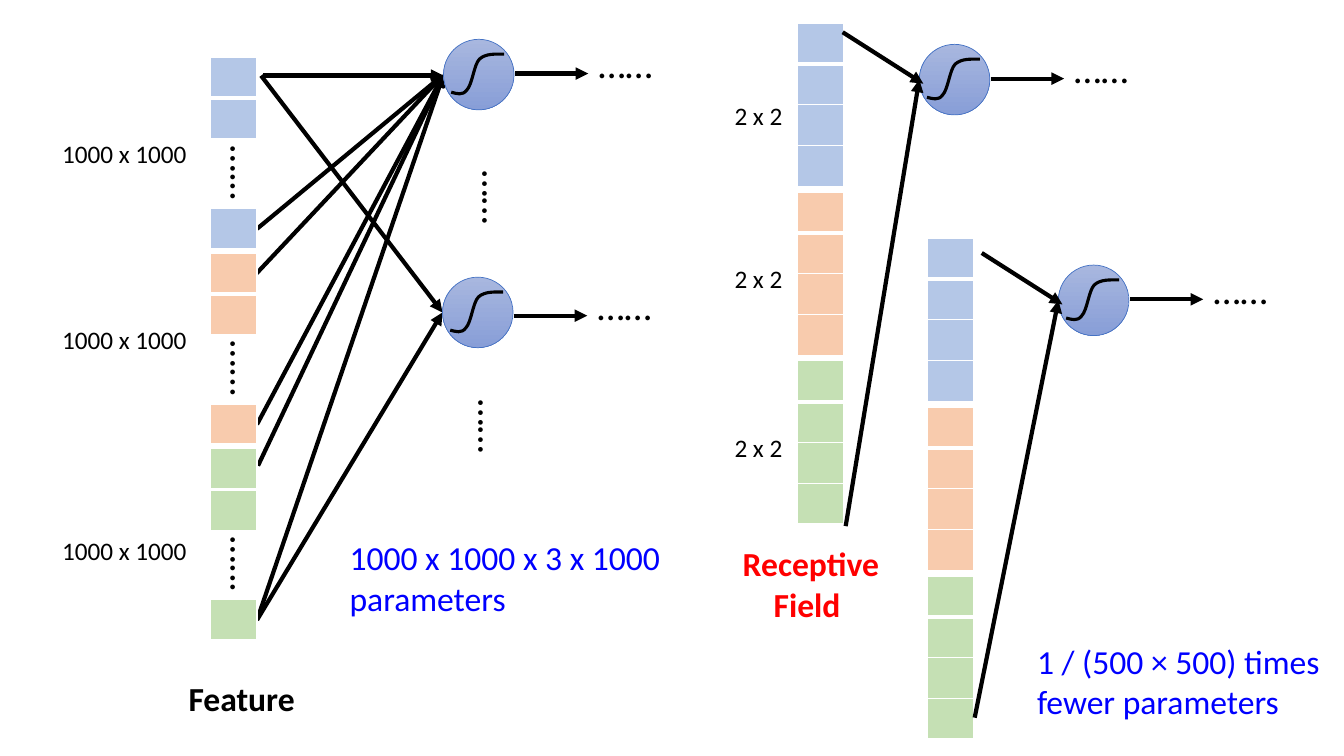
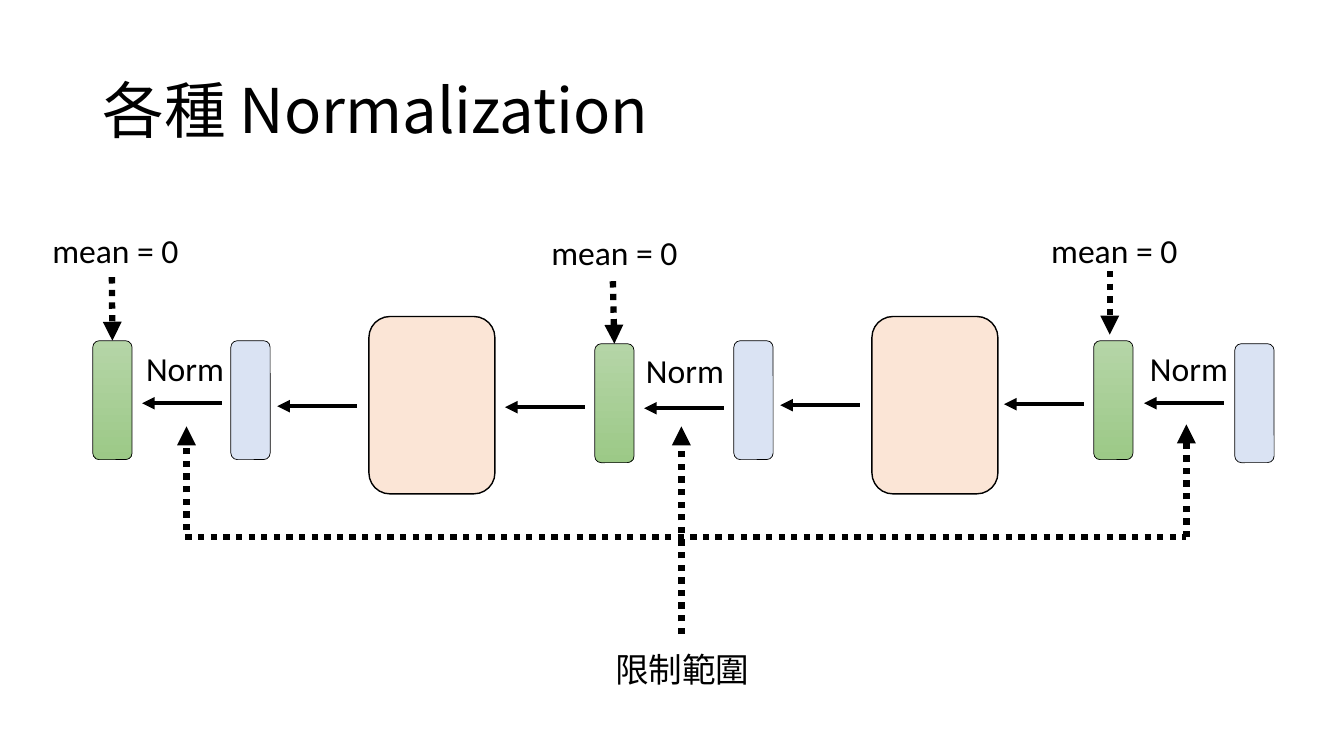
import dataclasses
import typing

import pptx
import pptx.dml.color
import pptx.enum.dml
import pptx.enum.shapes
import pptx.enum.text
import pptx.oxml.ns
import pptx.util
from lxml import etree

# Slide grid: 80 columns by 45 rows of square cells
COLUMNS, ROWS = 80, 45
CELL = pptx.util.Inches(1) // 6

SHAPES = pptx.enum.shapes.MSO_SHAPE
ALIGN = pptx.enum.text.PP_ALIGN
ANCHOR = pptx.enum.text.MSO_ANCHOR


@dataclasses.dataclass(frozen=True)
class Theme:
    ink: str = "000000"
    paper: str = "FFFFFF"
    note: str = "0000FF"
    alert: str = "FF0000"
    channels: tuple = ("B4C7E7", "F8CBAD", "C5E0B4")
    neuron: tuple = ("A8B7DF", "889ED7")
    neuron_edge: str = "4472C4"
    normalized: tuple = ("B5D5A7", "9CC987")
    vector: str = "DAE3F3"
    block: str = "FBE5D6"
    latin: str = "Calibri"
    cjk: str = "Noto Sans CJK SC"
    title_size: int = 44
    dots_size: int = 28
    body_size: int = 24
    label_size: int = 18
    arrow: float = 3
    dotted: float = 4.5


THEME = Theme()


class Stage(typing.NamedTuple):
    normalized: tuple
    vector: tuple
    norm_label: tuple
    norm_arrow: tuple
    mean_label: tuple
    mean_tip: tuple
    joined: bool = True


STAGES = (
    Stage((5.52, 20.28), (13.74, 20.28), (7.74, 20.4), (13.2, 24),
          (1.62, 13.38), (6.66, 20.28)),
    Stage((35.4, 20.46), (43.68, 20.28), (37.5, 20.52), (43.08, 24.3),
          (31.32, 13.5), (36.48, 20.52)),
    Stage((65.1, 20.28), (73.5, 20.46), (67.5, 20.4), (72.84, 24),
          (61.08, 13.38), (66.06, 19.92), False),
)


# Basic helpers
def grid(*cells):
    return [round(cell * CELL) for cell in cells]


def rgb(code):
    return pptx.dml.color.RGBColor.from_string(code)


def apply(target, formats):
    for name, value in formats.items():
        setattr(target, name, value)


def add_xml(parent, tag, **attributes):
    return etree.SubElement(parent, pptx.oxml.ns.qn(tag), attributes)


def paint(shape, fill, edge, weight):
    shape.shadow.inherit = False
    if fill is None:
        shape.fill.background()
    elif isinstance(fill, tuple):
        shape.fill.gradient()
        shape.fill.gradient_angle = 270
        for stop, code in zip(shape.fill.gradient_stops, fill):
            stop.color.rgb = rgb(code)
    else:
        shape.fill.solid()
        shape.fill.fore_color.rgb = rgb(fill)
    shape.line.color.rgb = rgb(edge)
    shape.line.width = pptx.util.Pt(weight)


# Element builders
def add_text(slide, text, box, size=THEME.body_size, align=ALIGN.CENTER,
             color=THEME.ink, font=THEME.latin, bold=False, turn=0):
    label = slide.shapes.add_textbox(*grid(*box))
    label.rotation = turn
    apply(label.text_frame, {
        "word_wrap": True,
        "auto_size": pptx.enum.text.MSO_AUTO_SIZE.SHAPE_TO_FIT_TEXT,
    })
    paragraph = label.text_frame.paragraphs[0]
    paragraph.alignment = align
    run = paragraph.add_run()
    run.text = text
    apply(run.font, {"size": pptx.util.Pt(size), "name": font, "bold": bold})
    run.font.color.rgb = rgb(color)
    add_xml(run.font._element, "a:ea", typeface=font)
    return label


def add_title(slide, text):
    title = add_text(slide, text, (5.52, 2.4, 69, 8.7), THEME.title_size,
                     ALIGN.LEFT, font=THEME.cjk)
    apply(title.text_frame, {
        "auto_size": pptx.enum.text.MSO_AUTO_SIZE.NONE,
        "vertical_anchor": ANCHOR.MIDDLE,
    })
    title.text_frame.paragraphs[0].line_spacing = 0.9


def add_line(slide, start, end, dotted=False, head=True):
    line = slide.shapes.add_connector(
        pptx.enum.shapes.MSO_CONNECTOR.STRAIGHT, *grid(*start, *end))
    line.line.color.rgb = rgb(THEME.ink)
    line.line.width = pptx.util.Pt(THEME.dotted if dotted else THEME.arrow)
    if dotted:
        line.line.dash_style = pptx.enum.dml.MSO_LINE.ROUND_DOT
    if head:
        add_xml(line.line._get_or_add_ln(), "a:tailEnd", type="triangle")
    add_xml(line._element.spPr, "a:effectLst")
    return line


def add_box(parent, box, fill, weight=0.5, edge=THEME.ink,
            outline=SHAPES.ROUNDED_RECTANGLE):
    shape = parent.shapes.add_shape(outline, *grid(*box))
    paint(shape, fill, edge, weight)
    return shape


def add_pixels(slide, left, top, count, color):
    """A one-column table with a thick rule under its first row."""
    width, height = 2.76, 2.43
    pixels = slide.shapes.add_table(
        count, 1, *grid(left, top, width, height * count)).table
    apply(pixels, {"first_row": False, "horz_banding": False})
    for row in range(count):
        cell = pixels.cell(row, 0)
        apply(cell, {"margin_top": 0, "margin_bottom": 0})
        for side in "LRTB":
            weight = 3 if side == "B" and row == 0 else 1
            border = add_xml(cell._tc.get_or_add_tcPr(), "a:ln" + side,
                             w=str(pptx.util.Pt(weight)))
            add_xml(add_xml(border, "a:solidFill"), "a:srgbClr",
                    val=THEME.paper)
        cell.fill.solid()
        cell.fill.fore_color.rgb = rgb(color)


def add_curve(parent, points):
    """Bezier chain: a start, then two controls and an end per segment."""
    builder = parent.shapes.build_freeform(*points[0])
    builder.add_line_segments(points[1:], close=False)
    curve = builder.convert_to_shape()
    legs = list(curve._element.iter(pptx.oxml.ns.qn("a:lnTo")))
    for first in range(0, len(legs), 3):
        segment = etree.Element(pptx.oxml.ns.qn("a:cubicBezTo"))
        legs[first].addprevious(segment)
        for leg in legs[first:first + 3]:
            segment.append(leg[0])
            leg.getparent().remove(leg)
    paint(curve, None, THEME.ink, 2.25)


def add_neuron(slide, left, top, drop=0):
    """Circle with a sigmoid, an output arrow and dots after it."""
    size = 4.2
    neuron = slide.shapes.add_group_shape()
    add_box(neuron, (left, top, size, size), THEME.neuron,
            edge=THEME.neuron_edge, outline=SHAPES.OVAL)
    # Control points as shares of the circle
    sigmoid = ((0.86, 0.21), (0.73, 0.21), (0.6, 0.2), (0.51, 0.28),
               (0.43, 0.36), (0.41, 0.64), (0.33, 0.72),
               (0.27, 0.8), (0.19, 0.77), (0.11, 0.75))
    add_curve(neuron, [grid(left + x * size, top + y * size)
                       for x, y in sigmoid])
    exit_row = top + 2.04 + drop
    add_line(slide, (left + 4.28, exit_row), (left + 8.62, exit_row))
    add_text(slide, "……", (left + 7.2, top - 0.3 + drop, 7.26, 3.42),
             THEME.dots_size)


def add_label(slide, text, left, top):
    add_text(slide, text, (left, top, 9.42, 2.4), THEME.label_size,
             ALIGN.RIGHT)


def add_note(slide, text, left, top, width):
    add_text(slide, text, (left, top, width, 5.46), align=ALIGN.LEFT,
             color=THEME.note)


# Slide 1, left half: every pixel feeds every neuron
def add_full_connection(slide):
    upper, lower = (26.4, 4.44), (26.34, 18.6)
    add_line(slide, (15.66, 4.5), (26.4, 4.5))
    for start in ((15.3, 13.62), (15.06, 16.5), (15.3, 25.26),
                  (15.36, 27.72), (15.3, 36.9)):
        add_line(slide, start, upper)
    for start in ((15.54, 4.5), (15.3, 36.9)):
        add_line(slide, start, lower)
    add_neuron(slide, 26.4, 2.34)
    add_neuron(slide, 26.34, 16.5, drop=0.25)
    for left, top in ((24.42, 10.02), (24.18, 23.7)):
        add_text(slide, "……", (left, top, 7.26, 3.42), THEME.dots_size,
                 turn=270)
    label_tops = (7.92, 19.02, 31.56)
    for index, (color, label_top) in enumerate(zip(THEME.channels,
                                                   label_tops)):
        top = 3.42 + 11.64 * index
        add_pixels(slide, 12.54, top, 2, color)
        add_text(slide, "…...", (12.18, top + 5.37, 4.92, 3.42),
                 THEME.dots_size, ALIGN.LEFT, turn=90)
        add_pixels(slide, 12.54, top + 9, 1, color)
        add_label(slide, "1000 x 1000", 2.28, label_top)
    add_text(slide, "Feature ", (10.2, 40.08, 8.82, 3), bold=True)
    add_note(slide, "1000 x 1000 x 3 x 1000 parameters", 20.22, 31.68, 20.64)


# Slide 1, right half: each neuron sees one small field
def add_receptive_field(slide, column, neuron, first, last):
    left, top = column
    for index, color in enumerate(THEME.channels):
        add_pixels(slide, left, top + 10.05 * index, 4, color)
    add_neuron(slide, *neuron)
    add_line(slide, first, (neuron[0] + 0.24, neuron[1] + 2.34))
    add_line(slide, last, (neuron[0], neuron[1] + 2.1))


def build_receptive_slide(slide):
    add_full_connection(slide)
    add_receptive_field(slide, (47.46, 1.38), (54.72, 2.64),
                        (50.16, 1.92), (50.34, 31.32))
    add_receptive_field(slide, (55.2, 14.18), (63, 15.78),
                        (58.44, 15.06), (58.02, 42.72))
    for top in (5.7, 15.36, 25.44):
        add_label(slide, "2 x 2", 37.74, top)
    add_text(slide, "Receptive Field ", (43.56, 32.04, 9.42, 5.46),
             color=THEME.alert, bold=True)
    add_note(slide, "1 / (500 × 500) times fewer parameters",
             61.14, 37.86, 18.6)


# Slide 2: normalization between blocks
def add_left_arrow(slide, column, row):
    add_line(slide, (column, row), (column - 4.74, row))


def add_stage(slide, stage):
    size = (2.34, 7.08)
    normalized = add_box(slide, stage.normalized + size, THEME.normalized)
    add_box(slide, stage.vector + size, THEME.vector)
    add_left_arrow(slide, *stage.norm_arrow)
    add_text(slide, "Norm", stage.norm_label + (6.54, 3))
    add_text(slide, "mean = 0", stage.mean_label + (10.5, 3))
    column, row = stage.mean_tip
    mean_arrow = add_line(slide, (column, row - 3.78), (column, row),
                          dotted=True)
    if stage.joined:
        mean_arrow.end_connect(normalized, 0)


def build_normalization_slide(slide):
    add_title(slide, "各種 Normalization")
    for left in (21.96, 51.9):
        add_box(slide, (left, 18.84, 7.5, 10.56), THEME.block, weight=1)
    for start in ((21.24, 24.18), (34.8, 24.24),
                  (51.18, 24.12), (64.5, 24.06)):
        add_left_arrow(slide, *start)
    for stage in STAGES:
        add_stage(slide, stage)
    # Dotted bracket from the caption to each Norm arrow
    add_line(slide, (11.04, 31.98), (70.62, 31.98), dotted=True, head=False)
    for column, start, end in ((11.1, 31.56, 25.38), (40.56, 37.74, 25.38),
                               (70.62, 31.98, 25.26)):
        add_line(slide, (column, start), (column, end), dotted=True)
    add_text(slide, "限制範圍", (26.34, 38.34, 28.56, 3), font=THEME.cjk)


def main():
    deck = pptx.Presentation()
    apply(deck, {"slide_width": COLUMNS * CELL, "slide_height": ROWS * CELL})
    for build in (build_receptive_slide, build_normalization_slide):
        build(deck.slides.add_slide(deck.slide_layouts[6]))
    deck.save("out.pptx")


if __name__ == "__main__":
    main()
